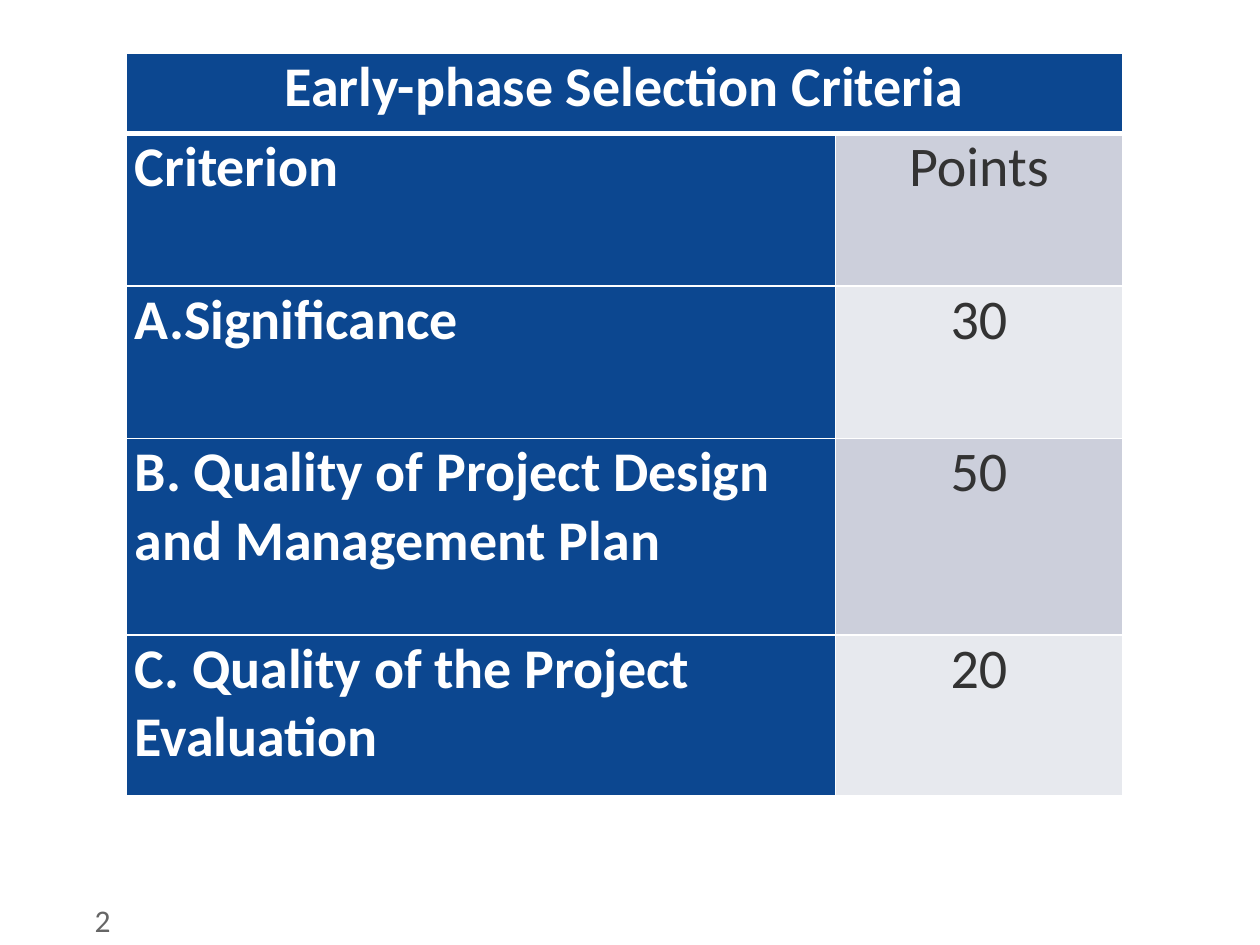
"""Build a slide with a table of early-phase selection criteria."""
from dataclasses import dataclass

from lxml.etree import SubElement
from pptx import Presentation
from pptx.dml.color import RGBColor
from pptx.enum.text import PP_ALIGN
from pptx.oxml.ns import qn
from pptx.util import Inches, Pt


@dataclass(frozen=True)
class Theme:
    font: str = "Calibri"
    blue: str = "0C4790"
    white: str = "FFFFFF"
    dark: str = "333333"
    gray: str = "666666"
    bands: tuple[str, str] = ("CCCFDB", "E7E9EE")
    table_size: int = 32
    number_size: int = 18
    thin: int = 1
    thick: int = 3


@dataclass(frozen=True)
class Criterion:
    label: str
    points: str
    height: float
    lettered: bool = False


THEME = Theme()
TITLE = "Early-phase Selection Criteria"
TITLE_HEIGHT = 0.64
COLUMN_WIDTHS = (5.63, 2.28)
CRITERIA = (
    Criterion("Criterion", "Points", 1.21),
    Criterion("Significance", "30", 1.21, lettered=True),
    Criterion("B. Quality of Project Design and Management Plan", "50", 1.56),
    Criterion("C. Quality of the Project Evaluation", "20", 1.28),
)


def style_paragraph(paragraph, size: int, color: str, bold: bool = False) -> None:
    for span in paragraph.runs:
        span.font.name = THEME.font
        span.font.size = Pt(size)
        span.font.bold = bold
        span.font.color.rgb = RGBColor.from_string(color)


def add_letter(paragraph) -> None:
    properties = paragraph._p.get_or_add_pPr()
    properties.set("marL", str(Inches(0.38)))
    properties.set("indent", str(Inches(-0.38)))
    SubElement(properties, qn("a:buFont"), typeface=THEME.font)
    SubElement(properties, qn("a:buAutoNum"), type="alphaUcPeriod")


def add_borders(cell, top: int, bottom: int) -> None:
    properties = cell._tc.get_or_add_tcPr()
    widths = {"L": THEME.thin, "R": THEME.thin, "T": top, "B": bottom}
    for side, width in widths.items():
        line = SubElement(properties, qn(f"a:ln{side}"), w=str(Pt(width)))
        fill = SubElement(line, qn("a:solidFill"))
        SubElement(fill, qn("a:srgbClr"), val=THEME.white)


def fill_cell(cell, text: str, fill: str, color: str, bold: bool, centered: bool) -> None:
    cell.margin_left = cell.margin_right = Inches(0.07)
    cell.margin_top = cell.margin_bottom = Inches(0)
    cell.fill.solid()
    cell.fill.fore_color.rgb = RGBColor.from_string(fill)
    cell.text_frame.text = text
    paragraph = cell.text_frame.paragraphs[0]
    paragraph.alignment = PP_ALIGN.CENTER if centered else PP_ALIGN.LEFT
    style_paragraph(paragraph, THEME.table_size, color, bold)


def add_criteria_table(page) -> None:
    heights = (TITLE_HEIGHT, *(criterion.height for criterion in CRITERIA))
    table = page.shapes.add_table(
        len(heights), len(COLUMN_WIDTHS), Inches(1), Inches(0.42),
        Inches(sum(COLUMN_WIDTHS)), Inches(sum(heights)),
    ).table
    for column, width in zip(table.columns, COLUMN_WIDTHS):
        column.width = Inches(width)
    for index, (row, height) in enumerate(zip(table.rows, heights)):
        row.height = Inches(height)
        for cell in row.cells:
            add_borders(
                cell,
                THEME.thick if index == 1 else THEME.thin,
                THEME.thick if index == 0 else THEME.thin,
            )
    title = table.cell(0, 0)
    title.merge(table.cell(0, 1))
    fill_cell(title, TITLE, THEME.blue, THEME.white, True, True)
    for index, criterion in enumerate(CRITERIA):
        label, points = table.rows[index + 1].cells
        fill_cell(label, criterion.label, THEME.blue, THEME.white, True, False)
        fill_cell(points, criterion.points, THEME.bands[index % 2], THEME.dark, False, True)
        if criterion.lettered:
            add_letter(label.text_frame.paragraphs[0])


def add_page_number(page, number: str) -> None:
    box = page.shapes.add_textbox(Inches(0.75), Inches(7.1), Inches(0.58), Inches(0.4))
    frame = box.text_frame
    frame.word_wrap = True
    frame.margin_left = frame.margin_right = Inches(0)
    frame.text = number
    style_paragraph(frame.paragraphs[0], THEME.number_size, THEME.gray)


def main() -> None:
    deck = Presentation()
    deck.slide_width, deck.slide_height = Inches(10), Inches(7.5)
    page = deck.slides.add_slide(deck.slide_layouts[6])
    add_page_number(page, "2")
    add_criteria_table(page)
    deck.save("out.pptx")


if __name__ == "__main__":
    main()
